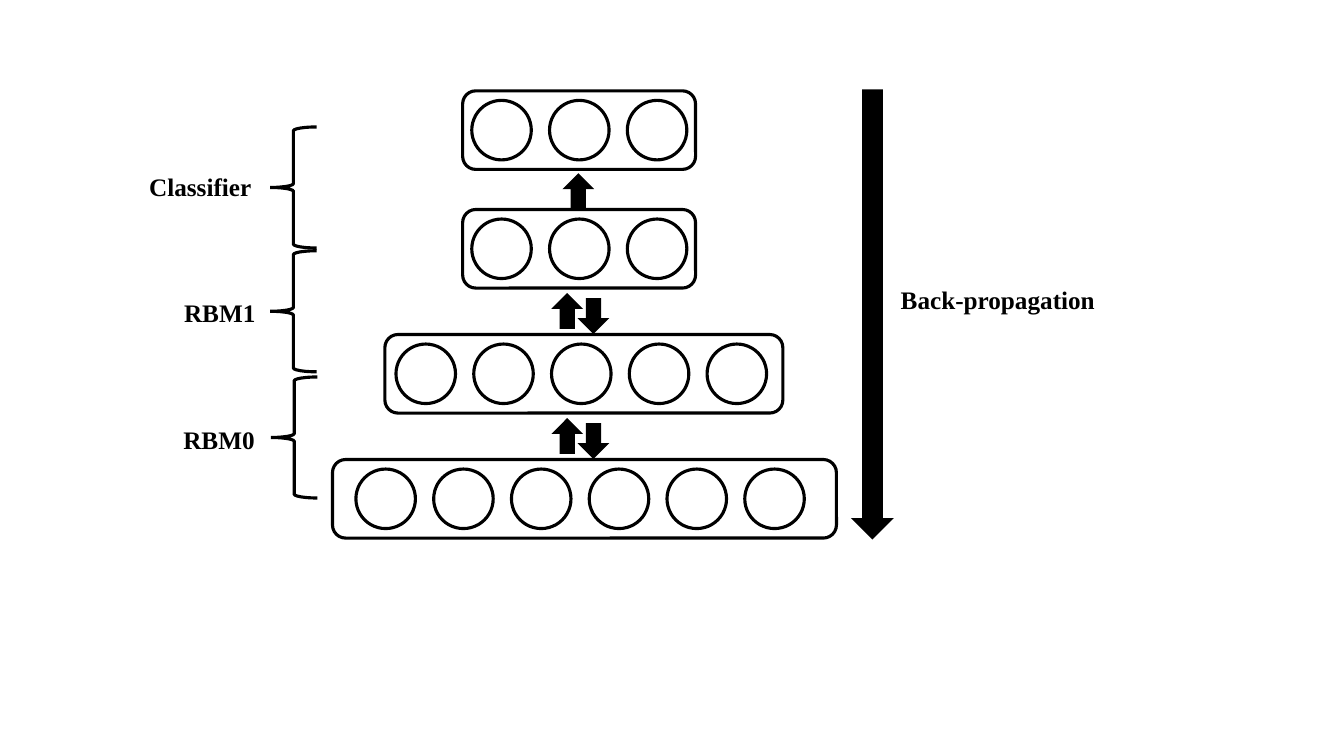
from lxml.etree import SubElement as Sub
from pptx import Presentation
from pptx.dml.color import RGBColor
from pptx.enum.shapes import MSO_SHAPE as Kind
from pptx.enum.text import MSO_AUTO_SIZE as Auto
from pptx.oxml.ns import qn
from pptx.util import Cm, Pt

# Content, lengths in cm
LAYERS = [  # left, top, width, first node left, node count
    (11.66, 2.29, 5.87, 11.89, 3),
    (11.66, 5.28, 5.87, 11.89, 3),
    (9.70, 8.43, 10.03, 9.98, 5),
    (8.38, 11.58, 12.70, 8.97, 6),
]
BRACES = [(6.81, 3.20), (6.81, 6.32), (6.83, 9.50)]
UP, DOWN = 270, 90
ARROWS = [  # left, top, length, thickness, turn
    (14.17, 4.52, 0.81, 0.61, UP),
    (13.89, 7.54, 0.81, 0.61, UP),
    (14.55, 7.65, 0.81, 0.61, DOWN),
    (13.89, 10.69, 0.81, 0.61, UP),
    (14.55, 10.80, 0.81, 0.61, DOWN),
    (16.36, 7.47, 11.25, 0.89, DOWN),
]
LABELS = [  # text, left, top, width
    ("Classifier", 3.51, 4.19, 3.12),
    ("RBM1", 4.39, 7.37, 2.34),
    ("RBM0", 4.37, 10.57, 2.34),
    ("Back-propagation", 22.45, 7.04, 5.46),
]
HIGH, NODE, STEP, PAD = 1.98, 1.50, 1.96, 0.24
BRACE = (1.17, 3.05)
INK, PAPER = "000000", "FFFFFF"
FONT = {"name": "Times New Roman", "size": Pt(18), "bold": True}

deck = Presentation()
deck.slide_width, deck.slide_height = Cm(33.87), Cm(19.05)
slide = deck.slides.add_slide(deck.slide_layouts[6])


def paint(part, tone):
    part.solid()
    part.fore_color.rgb = RGBColor.from_string(tone)


def draw(kind, box, tone=None, turn=0):
    shape = slide.shapes.add_shape(kind, *map(Cm, box))
    shape.shadow.inherit = False
    shape.rotation = turn
    if tone:
        paint(shape.fill, tone)
    else:
        shape.fill.background()
    paint(shape.line.fill, INK)
    shape.line.width = Pt(2.25)
    edge = shape.line.fill._xPr.find(qn("a:ln")) if shape.line.fill._xPr.tag != qn("a:ln") else shape.line.fill._xPr
    Sub(edge, qn("a:miter"), lim="800000")


def write(text, left, top, width):
    box = slide.shapes.add_textbox(*map(Cm, (left, top, width, 1.02)))
    frame = box.text_frame
    frame.word_wrap = False
    frame.auto_size = Auto.SHAPE_TO_FIT_TEXT
    run = frame.paragraphs[0].add_run()
    run.text = text
    for key, value in FONT.items():
        setattr(run.font, key, value)
    paint(run.font.fill, INK)


# Layers with their nodes
for left, top, width, first, count in LAYERS:
    draw(Kind.ROUNDED_RECTANGLE, (left, top, width, HIGH), PAPER)
    for i in range(count):
        draw(Kind.OVAL, (first + i * STEP, top + PAD, NODE, NODE), PAPER)

# Braces, arrows and labels
for spot in BRACES:
    draw(Kind.LEFT_BRACE, spot + BRACE)
for *box, turn in ARROWS:
    draw(Kind.RIGHT_ARROW, box, INK, turn)
for label in LABELS:
    write(*label)

deck.save("out.pptx")
